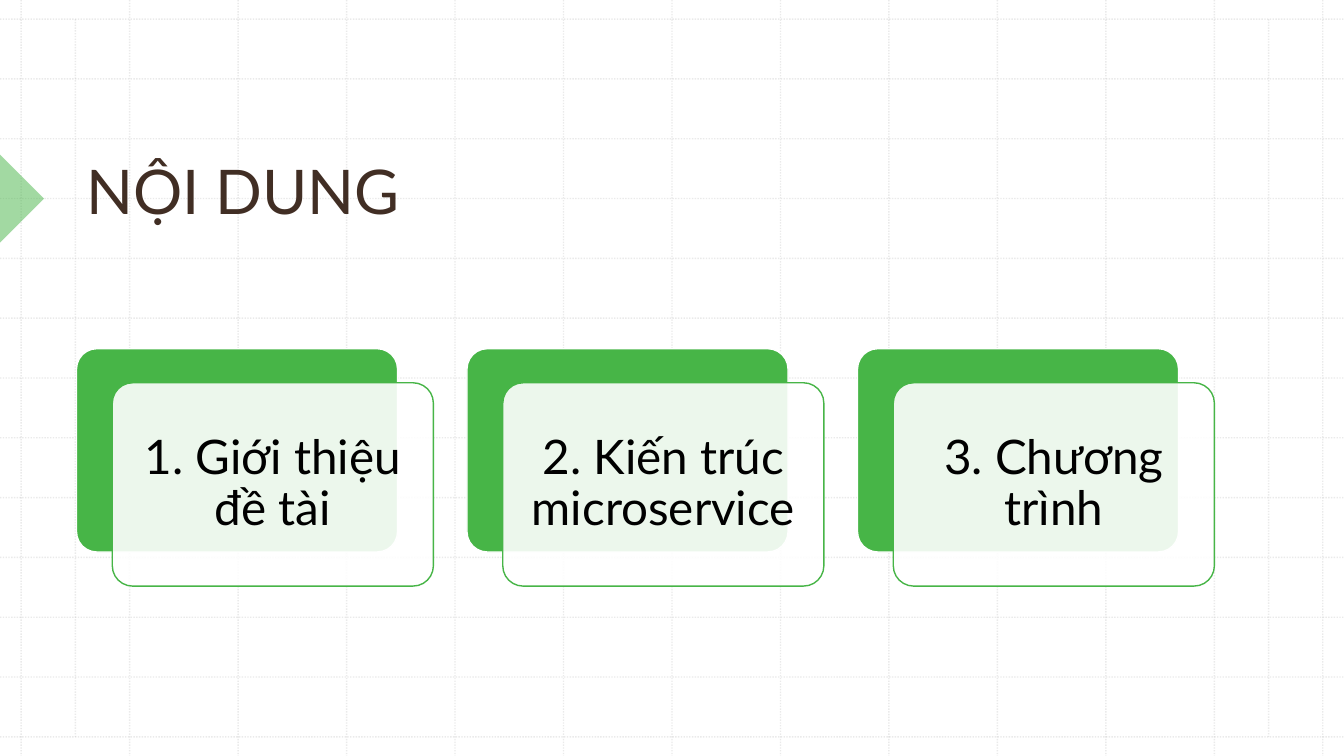
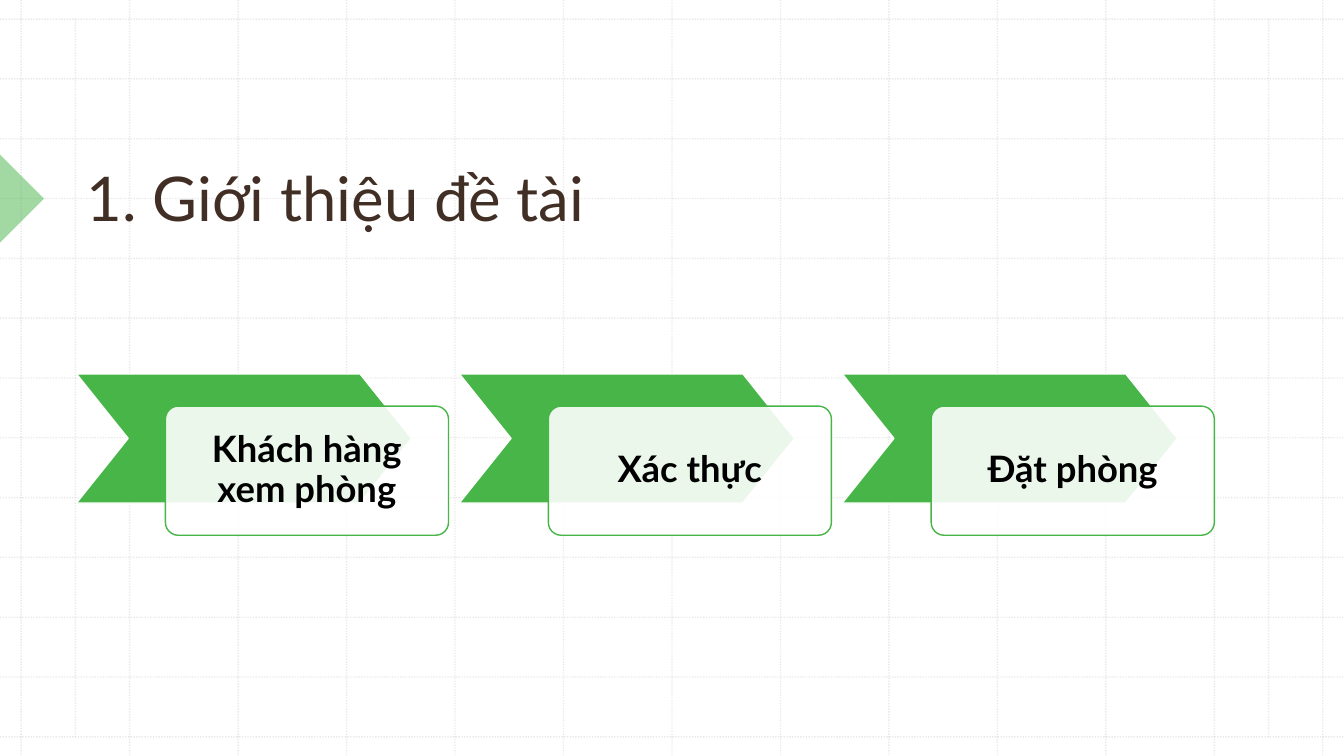
"""Build two Vietnamese agenda slides on a dotted grid."""
from dataclasses import dataclass

from pptx import Presentation, util as u
from pptx.dml.color import RGBColor
from pptx.enum import dml, shapes, text
from pptx.oxml import ns, xmlchemy

GREEN = RGBColor(0x47, 0xB5, 0x47)
BROWN = RGBColor(0x41, 0x2E, 0x24)
GREY = RGBColor(0xBC, 0xBC, 0xBC)
WHITE = RGBColor(0xFF, 0xFF, 0xFF)
BLACK = RGBColor(0x00, 0x00, 0x00)

SLIDE_WIDTH, SLIDE_HEIGHT = u.Inches(13.33), u.Inches(7.5)
GRID_LEFT, GRID_TOP = u.Inches(0.21), u.Inches(0.19)
GRID_COUNT = 12
COLUMN = (SLIDE_WIDTH - 2 * GRID_LEFT) / GRID_COUNT
ROW = (SLIDE_HEIGHT - 2 * GRID_TOP) / GRID_COUNT
MARGIN_COLUMNS = (0.5, 11.5)
CONTENT_COLUMN, CONTENT_COLUMNS = 0.51, 10.49
TITLE_ROW = 1.01
MARKER_ROW, MARKER_ROWS = 3, 1.04

TITLE_FONT = {"name": "Lato", "size": u.Pt(44)}
AGENDA_FONT = {"name": "Lato", "size": u.Pt(34)}
STEP_FONT = {"name": "Lato", "size": u.Pt(26), "bold": True}


@dataclass(frozen=True)
class CardRow:
    """Layout of a row of cards, each overlapping a panel, in grid cells."""
    labels: tuple[str, ...]
    panel_kind: shapes.MSO_SHAPE
    panel_adjustment: float
    top: float
    panel_columns: float
    card_columns: float
    rows: float
    shift_columns: float
    shift_rows: float
    inset: float
    font: dict


@dataclass(frozen=True)
class Page:
    """Content of one slide."""
    title: str
    title_rows: float
    cards: CardRow


PAGES = (
    Page("NỘI DUNG", 2.55, CardRow(
        ("1. Giới thiệu đề tài", "2. Kiến trúc microservice", "3. Chương trình"),
        shapes.MSO_SHAPE.ROUNDED_RECTANGLE, 0.1, top=5.51,
        panel_columns=2.96, card_columns=2.96, rows=3.4,
        shift_columns=0.33, shift_rows=0.57, inset=0.14, font=AGENDA_FONT)),
    Page("1. Giới thiệu đề tài", 2.66, CardRow(
        ("Khách hàng xem phòng", "Xác thực", "Đặt phòng"),
        shapes.MSO_SHAPE.CHEVRON, 0.4, top=5.93,
        panel_columns=3.09, card_columns=2.61, rows=2.16,
        shift_columns=0.82, shift_rows=0.54, inset=0.2, font=STEP_FONT)),
)


def column_x(column: float) -> int:
    """Return the horizontal position of a grid column."""
    return round(GRID_LEFT + column * COLUMN)


def row_y(row: float) -> int:
    """Return the vertical position of a grid row."""
    return round(GRID_TOP + row * ROW)


def cell_box(column: float, row: float, columns: float, rows: float) -> tuple[int, ...]:
    """Return left, top, width and height of a block of grid cells."""
    return column_x(column), row_y(row), round(columns * COLUMN), round(rows * ROW)


def set_opacity(shape, percent: int) -> None:
    """Set the opacity of the first colour of a shape or connector."""
    colour = next(shape.element.spPr.iter(ns.qn("a:srgbClr")))
    alpha = xmlchemy.OxmlElement("a:alpha")
    alpha.set("val", str(percent * 1000))
    colour.append(alpha)


def add_block(slide, kind, box, fill, line=None, adjustment=None):
    """Add a filled preset shape without a shadow."""
    shape = slide.shapes.add_shape(kind, *box)
    shape.shadow.inherit = False
    shape.fill.solid()
    shape.fill.fore_color.rgb = fill
    if line is None:
        shape.line.fill.background()
    else:
        shape.line.color.rgb = line
        shape.line.width = u.Pt(1)
    if adjustment is not None:
        shape.adjustments[0] = adjustment
    return shape


def write_text(shape, content: str, font: dict, colour: RGBColor, frame_format: dict,
               paragraph_format: dict) -> None:
    """Write one formatted paragraph into a shape."""
    frame = shape.text_frame
    paragraph = frame.paragraphs[0]
    run = paragraph.add_run()
    run.text = content
    run.font.color.rgb = colour
    for target, values in ((frame, frame_format), (paragraph, paragraph_format), (run.font, font)):
        for name, value in values.items():
            setattr(target, name, value)


def add_grid_line(slide, start: tuple[int, int], end: tuple[int, int]) -> None:
    """Add one faint dotted line."""
    connector = slide.shapes.add_connector(shapes.MSO_CONNECTOR.STRAIGHT, *start, *end)
    connector.line.color.rgb = GREY
    connector.line.width = u.Pt(1)
    connector.line.dash_style = dml.MSO_LINE.ROUND_DOT
    set_opacity(connector, 30)
    connector.element.spPr.append(xmlchemy.OxmlElement("a:effectLst"))


def add_backdrop(slide) -> None:
    """Add the dotted grid and the green marker at the left edge."""
    for index in range(GRID_COUNT + 1):
        x, y = column_x(index), row_y(index)
        add_grid_line(slide, (x, 0), (x, SLIDE_HEIGHT))
        add_grid_line(slide, (0, y), (SLIDE_WIDTH, y))
    for column in MARGIN_COLUMNS:
        x = column_x(column)
        add_grid_line(slide, (x, row_y(0)), (x, row_y(GRID_COUNT)))
    size = round(MARKER_ROWS * ROW)
    box = (-size // 2, row_y(MARKER_ROW) - size // 2, size, size)
    marker = add_block(slide, shapes.MSO_SHAPE.RIGHT_TRIANGLE, box, GREEN)
    marker.rotation = 225
    set_opacity(marker, 50)


def add_title(slide, page: Page) -> None:
    """Add the slide title, standing on the bottom of its box."""
    box = slide.shapes.add_textbox(
        *cell_box(CONTENT_COLUMN, TITLE_ROW, CONTENT_COLUMNS, page.title_rows))
    write_text(box, page.title, TITLE_FONT, BROWN,
               {"word_wrap": True, "vertical_anchor": text.MSO_ANCHOR.BOTTOM}, {})


def add_cards(slide, cards: CardRow) -> None:
    """Spread the panels and their cards evenly over the content width."""
    item_columns = cards.shift_columns + cards.card_columns
    pitch = (CONTENT_COLUMNS - item_columns) / (len(cards.labels) - 1)
    inset = u.Inches(cards.inset)
    frame_format = {"word_wrap": True, "vertical_anchor": text.MSO_ANCHOR.MIDDLE}
    frame_format |= {f"margin_{side}": inset for side in ("left", "top", "right", "bottom")}
    for index, label in enumerate(cards.labels):
        column = CONTENT_COLUMN + index * pitch
        add_block(slide, cards.panel_kind,
                  cell_box(column, cards.top, cards.panel_columns, cards.rows),
                  GREEN, WHITE, cards.panel_adjustment)
        card = add_block(slide, shapes.MSO_SHAPE.ROUNDED_RECTANGLE,
                         cell_box(column + cards.shift_columns, cards.top + cards.shift_rows,
                                  cards.card_columns, cards.rows),
                         WHITE, GREEN, 0.1)
        set_opacity(card, 90)
        write_text(card, label, cards.font, BLACK, frame_format,
                   {"alignment": text.PP_ALIGN.CENTER, "line_spacing": 0.9})


def main() -> None:
    """Build and save the presentation."""
    presentation = Presentation()
    presentation.slide_width, presentation.slide_height = SLIDE_WIDTH, SLIDE_HEIGHT
    for page in PAGES:
        slide = presentation.slides.add_slide(presentation.slide_layouts[6])
        add_backdrop(slide)
        add_title(slide, page)
        add_cards(slide, page.cards)
    presentation.save("out.pptx")


if __name__ == "__main__":
    main()
